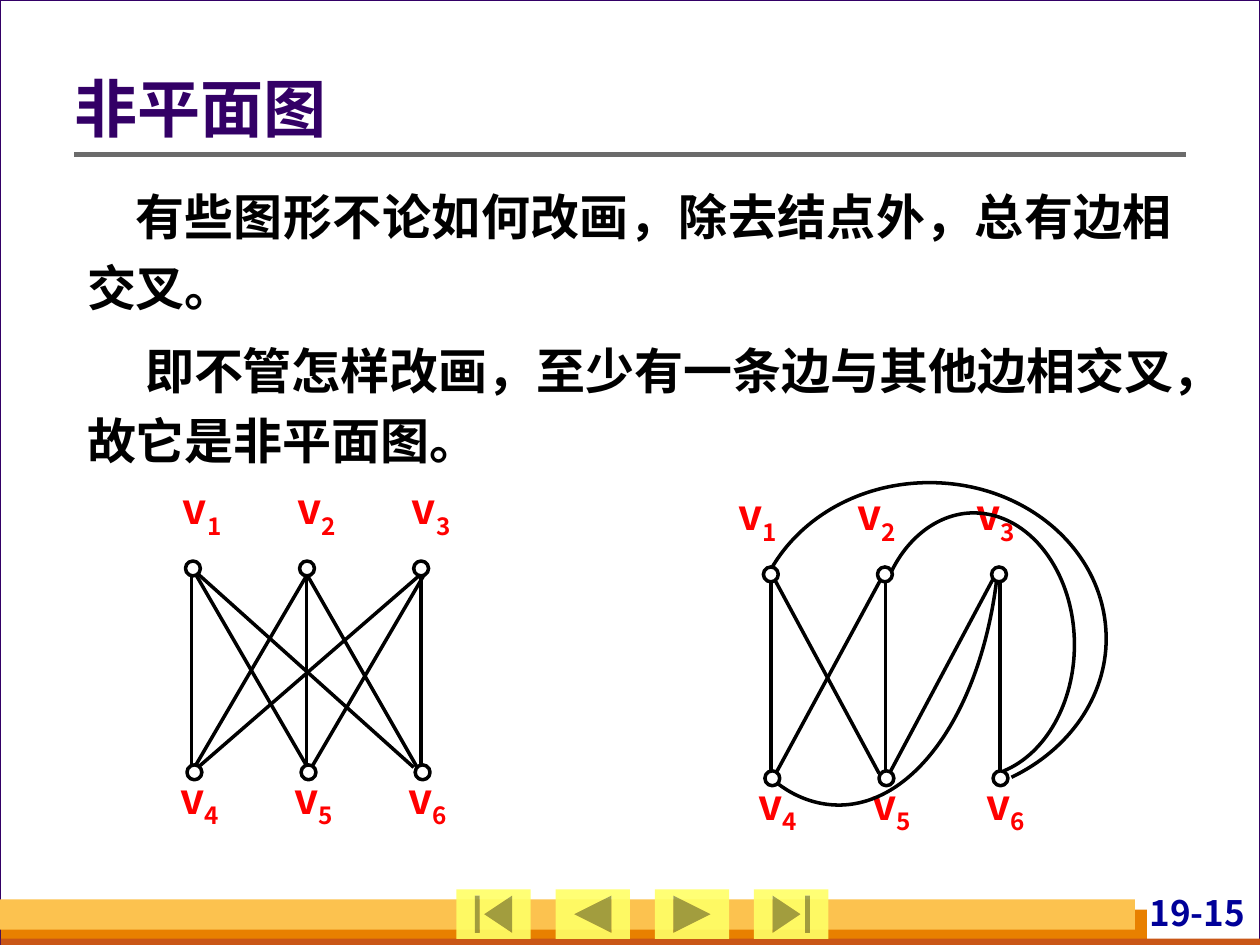
from lxml import etree
from pptx import Presentation
from pptx.dml.color import RGBColor
from pptx.enum import shapes, text
from pptx.oxml import ns
from pptx.util import Cm, Pt

FONT = "Noto Sans CJK SC"
GREY = RGBColor(0xD8, 0xDA, 0xDA)
WHITE = RGBColor(0xFF, 0xFF, 0xFF)
BLACK = RGBColor(0, 0, 0)
PURPLE = RGBColor(0x33, 0x00, 0x66)
ORANGE = RGBColor(0xE8, 0x80, 0x00)
RUST = RGBColor(0xC9, 0x56, 0x16)
GOLD = RGBColor(0xFC, 0xC2, 0x4F)
YELLOW = RGBColor(0xFF, 0xFF, 0x66)
NAVY = RGBColor(0x00, 0x00, 0x99)
RULE_GREY = RGBColor(0x6B, 0x6B, 0x6B)
RED = RGBColor(0xFF, 0, 0)

PRESET = shapes.MSO_SHAPE
NODE = 0.3       # node diameter, cm
PITCH = 2.3      # distance between node columns
ROW_GAP = 4.11   # distance between node rows
EDGE_TOP, EDGE_BOTTOM = 0.11, 4.01


def format_font(paragraph, size, color):
    font = paragraph.font
    font.name, font.size, font.bold = FONT, Pt(size), True
    font.color.rgb = color
    defaults = paragraph._p.pPr.find(ns.qn("a:defRPr"))
    latin = defaults.find(ns.qn("a:latin"))
    east_asian = etree.Element(ns.qn("a:ea"), typeface=FONT)
    latin.addnext(east_asian)


def set_box(shape, left, top, width, height):
    shape.left, shape.top = Cm(left), Cm(top)
    shape.width, shape.height = Cm(width), Cm(height)


def set_insets(frame, left, top, right, bottom):
    frame.margin_left, frame.margin_top = Cm(left), Cm(top)
    frame.margin_right, frame.margin_bottom = Cm(right), Cm(bottom)


def add_preset(parent, preset, box, fill, line=None, weight=2):
    shape = parent.add_shape(preset, *map(Cm, box))
    shape.shadow.inherit = False
    shape.fill.solid()
    shape.fill.fore_color.rgb = fill
    if line is None:
        shape.line.fill.background()
    else:
        shape.line.color.rgb = line
        shape.line.width = Pt(weight)
    return shape


def add_line(parent, x1, y1, x2, y2, color=BLACK, weight=2):
    line = parent.add_connector(shapes.MSO_CONNECTOR.STRAIGHT,
                                Cm(x1), Cm(y1), Cm(x2), Cm(y2))
    line.line.color.rgb = color
    line.line.width = Pt(weight)
    etree.SubElement(line._element.spPr, ns.qn("a:effectLst"))


def add_curve(parent, points):
    """Draw a chain of cubic curves: a start, then three points for each."""
    start, *rest = [(Cm(x), Cm(y)) for x, y in points]
    builder = parent.build_freeform(*start)
    builder.add_line_segments(rest, close=False)
    curve = builder.convert_to_shape()
    curve.shadow.inherit = False
    curve.fill.background()
    curve.line.color.rgb = BLACK
    curve.line.width = Pt(2)
    # Turn each three straight steps into one cubic curve
    path = curve._element.find(".//" + ns.qn("a:path"))
    steps = path.findall(ns.qn("a:lnTo"))
    for i in range(0, len(steps), 3):
        cubic = etree.SubElement(path, ns.qn("a:cubicBezTo"))
        for step in steps[i:i + 3]:
            cubic.append(step[0])
            path.remove(step)


def place_frame(slide, left, top, width, height):
    slide.background.fill.solid()
    slide.background.fill.fore_color.rgb = GREY
    add_preset(slide.shapes, PRESET.RECTANGLE, (left, top, width, height),
               WHITE, PURPLE, 0.75)
    # Footer bands
    bottom = top + height
    for x, y, w, h, color in ((0.02, -0.71, 23.1, 0.71, ORANGE),
                              (0.02, -0.13, 25.4, 0.2, RUST),
                              (0, -0.92, 22.88, 0.61, GOLD)):
        add_preset(slide.shapes, PRESET.RECTANGLE,
                   (left + x, bottom + y, w, h), color)
    # Page number
    page = slide.shapes.add_textbox(Cm(left + 22.1), Cm(bottom - 1.07),
                                    Cm(3.1), Cm(0.84))
    set_insets(page.text_frame, 0.1, 0, 0.1, 0)
    page.text_frame.word_wrap = True
    number = page.text_frame.paragraphs[0]
    number.text = "19-15"
    number.alignment = text.PP_ALIGN.RIGHT
    format_font(number, 20, NAVY)
    # Rule under the title
    add_line(slide.shapes, left + 1.5, top + 3.12, left + 23.9, top + 3.12,
             RULE_GREY, 3)


def place_navigation(slide, left, top, width, height):
    buttons = (PRESET.ACTION_BUTTON_BEGINNING,
               PRESET.ACTION_BUTTON_BACK_OR_PREVIOUS,
               PRESET.ACTION_BUTTON_FORWARD_OR_NEXT,
               PRESET.ACTION_BUTTON_END)
    button_width = 1.5
    step = (width - button_width) / (len(buttons) - 1)
    for i, preset in enumerate(buttons):
        button = add_preset(slide.shapes, preset,
                            (left + i * step, top, button_width, height), YELLOW)
        color = button._element.spPr.find(".//" + ns.qn("a:srgbClr"))
        etree.SubElement(color, ns.qn("a:alpha"), val="90000")


def place_title(slide, left, top, width, height):
    title = slide.shapes.title
    slide.shapes.element.append(title.element)  # bring in front of the frame
    set_box(title, left, top, width, height)
    frame = title.text_frame
    frame.auto_size = text.MSO_AUTO_SIZE.NONE
    frame.vertical_anchor = text.MSO_ANCHOR.MIDDLE
    set_insets(frame, 0, 0.13, 0.25, 0.13)
    heading = frame.paragraphs[0]
    heading.text = "非平面图"
    heading.alignment = text.PP_ALIGN.LEFT
    heading.line_spacing = 0.9
    format_font(heading, 36, PURPLE)


def place_body(slide, left, top, width, height):
    body = slide.placeholders[1]
    slide.shapes.element.append(body.element)
    set_box(body, left, top, width, height)
    frame = body.text_frame
    frame.auto_size = text.MSO_AUTO_SIZE.NONE
    statements = (("有些图形不论如何改画，除去结点外，总有边相交叉。", 0.97),
                  ("即不管怎样改画，至少有一条边与其他边相交叉，故它是非平面图。", 1.17))
    for i, (statement, indent) in enumerate(statements):
        paragraph = frame.add_paragraph() if i else frame.paragraphs[0]
        paragraph.text = statement
        paragraph.alignment = text.PP_ALIGN.JUSTIFY
        paragraph.line_spacing = 1.2
        paragraph.space_before = Pt(7 if i else 0)
        properties = paragraph._p.get_or_add_pPr()
        properties.set("marL", "0")
        properties.set("indent", str(Cm(indent)))
        etree.SubElement(properties, ns.qn("a:buNone"))
        format_font(paragraph, 28, BLACK)


def add_label(parent, number, left, top):
    label = parent.add_textbox(Cm(left), Cm(top), Cm(1.19), Cm(1.17))
    set_insets(label.text_frame, 0, 0, 0, 0)
    label.text_frame.word_wrap = True
    paragraph = label.text_frame.paragraphs[0]
    paragraph.alignment = text.PP_ALIGN.CENTER
    paragraph.add_run().text = "v"
    subscript = paragraph.add_run()
    subscript.text = str(number)
    subscript._r.get_or_add_rPr().set("baseline", "-25000")
    format_font(paragraph, 24, RED)


def place_graph(slide, left, top, edges, label_start, label_pitch, curves=()):
    """Draw a six-node graph whose first node is centred at left, top."""
    parts = slide.shapes.add_group_shape().shapes
    for x1, x2 in edges:
        add_line(parts, left + x1, top + EDGE_TOP, left + x2, top + EDGE_BOTTOM)
    # Labels above the first row and below the second
    for col in range(3):
        add_label(parts, col + 1, left + label_start + col * label_pitch, top - 1.73)
        add_label(parts, col + 4, left - 0.46 + col * PITCH, top + ROW_GAP)
    for points in curves:
        add_curve(parts, [(left + x, top + y) for x, y in points])
    for row in range(2):
        for col in range(3):
            x = left + col * PITCH + row * 0.03 - NODE / 2
            y = top + row * ROW_GAP - NODE / 2
            add_preset(parts, PRESET.OVAL, (x, y, NODE, NODE), WHITE, BLACK)


# Edges as (top x, bottom x), measured from the first node
CROSSED_EDGES = ((4.6, 4.6), (-0.03, -0.03), (2.31, 0.03), (4.6, 0.1), (4.67, 2.39),
                 (0.1, 4.45), (0.05, 2.31), (2.29, 4.52), (2.29, 2.29))
REDRAWN_EDGES = ((4.62, 4.62), (0, 0), (2.21, 0.1), (4.47, 2.39), (0.08, 2.18),
                 (2.31, 2.31))
REDRAWN_CURVES = (
    ((0.08, 4.17), (0.48, 4.5), (0.94, 4.65), (1.37, 4.65),
     (2.9, 4.65), (4.22, 2.77), (4.55, 0.13)),
    ((4.7, 3.96), (5.54, 3.61), (6.12, 2.59), (6.12, 1.42), (6.12, -0.05),
     (5.21, -1.24), (4.09, -1.24), (3.4, -1.24), (2.74, -0.76), (2.39, 0.03)),
    ((0, -0.1), (0.61, -1.17), (1.83, -1.85), (3.2, -1.85), (5.16, -1.85),
     (6.76, -0.46), (6.76, 1.3), (6.76, 2.46), (6.02, 3.53), (4.85, 4.09)),
)


def main():
    deck = Presentation()
    deck.slide_width, deck.slide_height = Cm(25.4), Cm(19.05)
    slide = deck.slides.add_slide(deck.slide_layouts[1])
    place_frame(slide, 0, 0, 25.4, 19.05)
    place_navigation(slide, 9.2, 17.93, 7.5, 1)
    place_title(slide, 1.5, 0.97, 22.4, 2.57)
    place_body(slide, 1.5, 3.4, 22.4, 6.2)
    place_graph(slide, 3.89, 11.46, CROSSED_EDGES, -0.41, 2.31)
    place_graph(slide, 15.54, 11.58, REDRAWN_EDGES, -0.86, 2.4, REDRAWN_CURVES)
    deck.save("out.pptx")


if __name__ == "__main__":
    main()
